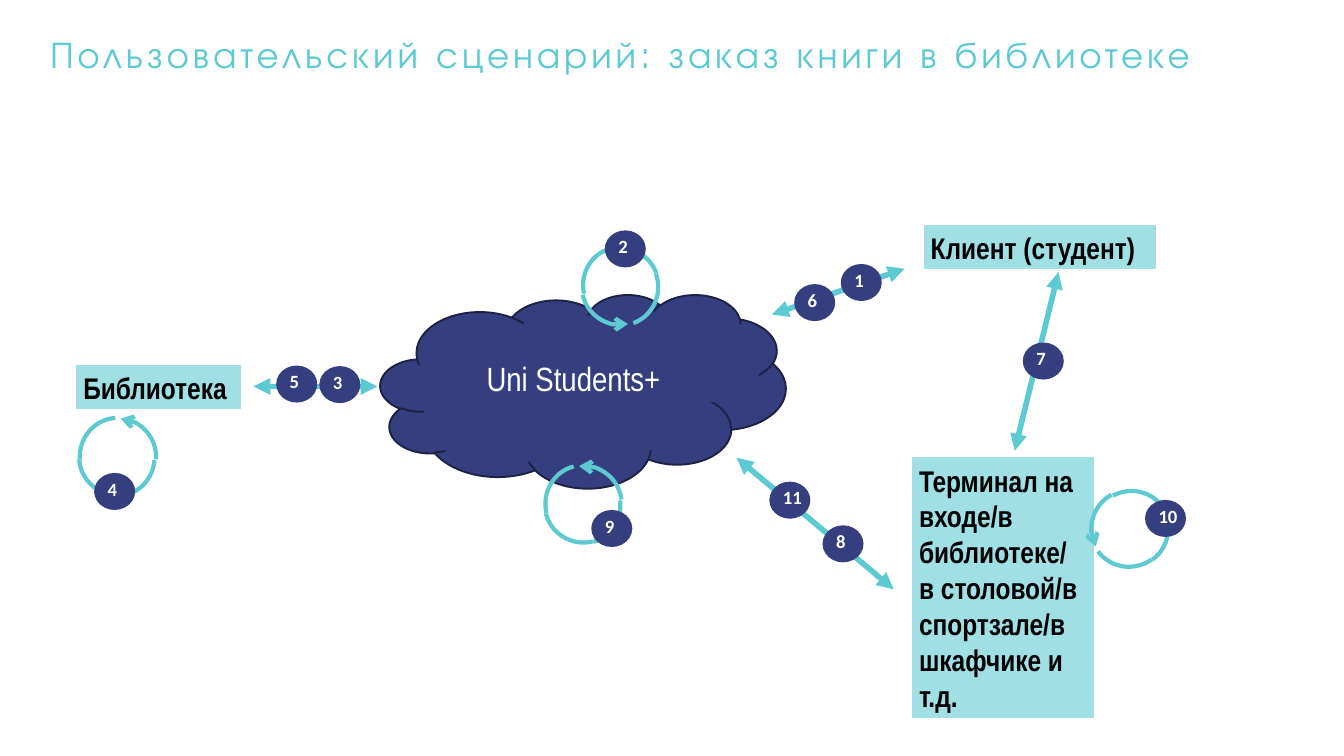
from lxml import etree
from pptx import Presentation
from pptx.dml.color import RGBColor
from pptx.enum.shapes import MSO_CONNECTOR, MSO_SHAPE
from pptx.enum.text import MSO_ANCHOR, MSO_AUTO_SIZE, PP_ALIGN
from pptx.oxml.ns import qn
from pptx.util import Cm, Pt

STRAIGHT = MSO_CONNECTOR.STRAIGHT
RECTANGLE, OVAL = MSO_SHAPE.RECTANGLE, MSO_SHAPE.OVAL
CLOUD, ARC = MSO_SHAPE.CLOUD, MSO_SHAPE.ARC
TOP, LEFT = MSO_ANCHOR.TOP, PP_ALIGN.LEFT
FIT = MSO_AUTO_SIZE.SHAPE_TO_FIT_TEXT
TITLE_ONLY = 5

COLORS = {
    "teal": "5DCAD1",
    "pale": "A0DFE4",
    "navy": "353E7F",
    "outline": "1C2143",
    "white": "FFFFFF",
    "black": "000000",
}

# Each quarter of a loop: width, height, turn from the loop's angle, arc start
QUARTERS = [
    (2.95, 2.79, 0, 165.1),
    (2.92, 2.9, 90, 160.13),
    (2.95, 2.87, 180, 160.13),
    (2.9, 2.9, 277.5, 160.13),
]
ARC_END = 213.86

# Start and end of each two-way arrow
ARROWS = [
    (27.84, 17.3, 33.78, 22.28),
    (29.18, 11.89, 34.19, 10.16),
    (9.58, 14.61, 14.27, 14.61),
    (40.01, 10.29, 38.35, 17.04),
]

PARTICIPANTS = [
    ("Терминал на входе/в библиотеке/ в столовой/в спортзале/в шкафчике и т.д.",
     34.49, 17.3, 6.83, 9.83),
    ("Клиент (студент)", 34.93, 8.53, 8.74, 1.63),
    ("Библиотека", 2.9, 13.82, 6.17, 1.63),
]

# Centre and angle of each loop
LOOPS = [
    (23.44, 10.83, 253.7),
    (4.45, 17.27, 90),
    (22.05, 19.06, 79.2),
    (42.7, 19.98, 327.7),
]

# Left and top of the badges, in step order
BADGES = [
    (31.78, 9.98), (22.86, 8.71), (12.07, 13.84), (3.56, 17.88),
    (10.44, 13.82), (30.02, 10.74), (38.66, 12.95), (31.09, 19.86),
    (22.35, 19.28), (43.28, 18.9), (29.08, 18.21),
]


def color(name):
    return RGBColor.from_string(COLORS[name])


class ScenarioSlide:
    """Draws the elements of the scenario on one slide, in centimetres."""

    def __init__(self, deck):
        self.page = deck.slides.add_slide(deck.slide_layouts[TITLE_ONLY])

    def label(self, shape, text, size, font, color_name, bold=False, wrap=True):
        frame = shape.text_frame
        frame.text = text
        frame.word_wrap = wrap
        frame.auto_size = FIT
        para = frame.paragraphs[0]
        para.alignment = LEFT
        span = para.runs[0]
        span.font.size = Pt(size)
        span.font.name = font
        span.font.bold = bold
        span.font.color.rgb = color(color_name)
        return para

    def stroke(self, shape, color_name, width):
        shape.line.color.rgb = color(color_name)
        shape.line.width = Pt(width)

    def arrowheads(self, shape, **ends):
        """Add arrowheads; ends maps headEnd or tailEnd to a type."""
        line = shape._element.spPr.find(qn("a:ln"))
        for end, kind in ends.items():
            etree.SubElement(line, qn(f"a:{end}")).set("type", kind)

    def shape(self, shapes, kind, left, top, width, height, fill=None):
        shape = shapes.add_shape(kind, Cm(left), Cm(top), Cm(width), Cm(height))
        shape.shadow.inherit = False
        if fill:
            shape.fill.solid()
            shape.fill.fore_color.rgb = color(fill)
        else:
            shape.fill.background()
        shape.line.fill.background()
        return shape

    def title(self, text):
        title = self.page.shapes.title
        title.left, title.top = Cm(1.9), Cm(1.1)
        title.width, title.height = Cm(48.46), Cm(1.68)
        para = self.label(title, text, 40, "TeX Gyre Adventor", "teal")
        para.line_spacing = Pt(50.4)
        para.runs[0].font._element.set("spc", "420")
        frame = title.text_frame
        frame.vertical_anchor = TOP
        frame.margin_left = frame.margin_right = 0
        frame.margin_top = frame.margin_bottom = 0

    def cloud(self, text):
        shapes = self.page.shapes.add_group_shape().shapes
        cloud = self.shape(shapes, CLOUD, 14.38, 11.13, 15.32, 7.32, "navy")
        self.stroke(cloud, "outline", 2)
        name_box = self.shape(shapes, RECTANGLE, 18.14, 13.39, 9.47, 1.8, "navy")
        self.label(name_box, text, 36, "Arial Narrow", "white")

    def participant(self, text, left, top, width, height):
        box = self.shape(self.page.shapes, RECTANGLE, left, top, width, height, "pale")
        self.stroke(box, "pale", 0.75)
        self.label(box, text, 32, "Arial Narrow", "black", bold=True)

    def arrow(self, x1, y1, x2, y2):
        arrow = self.page.shapes.add_connector(STRAIGHT, Cm(x1), Cm(y1), Cm(x2), Cm(y2))
        self.stroke(arrow, "teal", 6)
        self.arrowheads(arrow, headEnd="triangle", tailEnd="triangle")
        etree.SubElement(arrow._element.spPr, qn("a:effectLst"))

    def loop(self, center_x, center_y, angle):
        shapes = self.page.shapes.add_group_shape().shapes
        for width, height, turn, start in QUARTERS:
            arc = self.shape(shapes, ARC, center_x - width / 2,
                             center_y - height / 2, width, height)
            arc.adjustments[0] = start
            arc.adjustments[1] = ARC_END
            arc.rotation = (angle + turn) % 360
            self.stroke(arc, "teal", 4.5)
        self.arrowheads(arc, headEnd="arrow")

    def badge(self, number, left, top):
        shapes = self.page.shapes.add_group_shape().shapes
        self.shape(shapes, OVAL, left, top, 1.55, 1.4, "navy")
        width = 0.86 if number < 10 else 1.24
        box = shapes.add_textbox(Cm(left + 0.26), Cm(top + 0.05), Cm(width), Cm(1.12))
        self.label(box, str(number), 20, "Calibri", "white", bold=True, wrap=False)


def main():
    deck = Presentation()
    deck.slide_width, deck.slide_height = Cm(50.8), Cm(28.58)
    slide = ScenarioSlide(deck)
    slide.title("Пользовательский сценарий: заказ книги в библиотеке")
    slide.cloud("Uni Students+")
    for arrow in ARROWS:
        slide.arrow(*arrow)
    for participant in PARTICIPANTS:
        slide.participant(*participant)
    for loop in LOOPS:
        slide.loop(*loop)
    for number, place in enumerate(BADGES, start=1):
        slide.badge(number, *place)
    deck.save("out.pptx")


if __name__ == "__main__":
    main()
